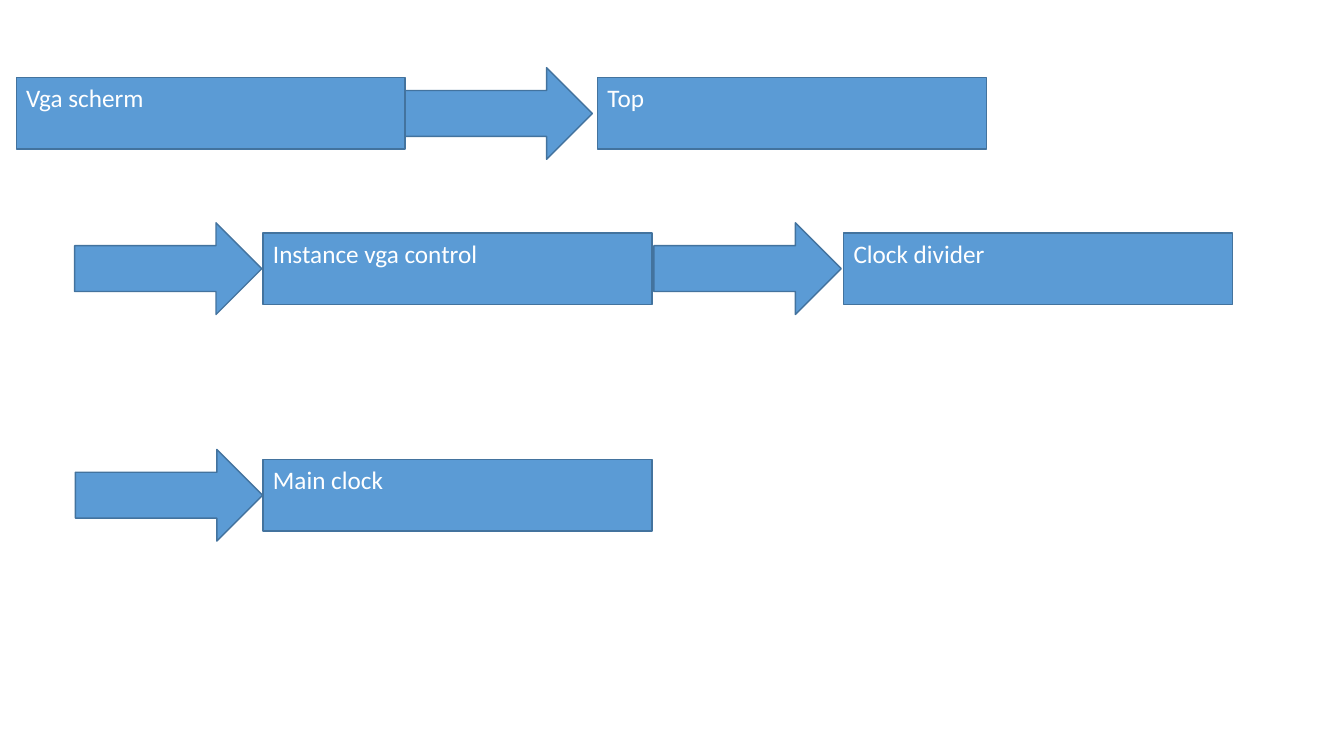
from pptx import Presentation
from pptx.dml.color import RGBColor
from pptx.enum.shapes import MSO_SHAPE
from pptx.enum.text import MSO_ANCHOR, PP_ALIGN
from pptx.util import Cm, Pt

BOX_WIDTH, BOX_HEIGHT = 9.8, 1.8
ARROW_WIDTH, ARROW_HEIGHT = 4.72, 2.31


def color(value):
    return RGBColor.from_string(value)


def add_block(page, kind, left, top, width, height):
    block = page.shapes.add_shape(kind, Cm(left), Cm(top), Cm(width), Cm(height))
    block.shadow.inherit = False
    block.fill.solid()
    block.fill.fore_color.rgb = color("5B9BD5")
    block.line.color.rgb = color("43739E")
    block.line.width = Pt(1)
    return block


def write_text(block, text, size=18, font="Calibri", ink="FFFFFF"):
    frame = block.text_frame
    frame.word_wrap = True
    frame.vertical_anchor = MSO_ANCHOR.TOP
    para = frame.paragraphs[0]
    para.alignment = PP_ALIGN.LEFT
    span = para.add_run()
    span.text = text
    span.font.size = Pt(size)
    span.font.name = font
    span.font.color.rgb = color(ink)


def add_row(page, top, boxes, arrows):
    for left, text in boxes:
        box = add_block(page, MSO_SHAPE.RECTANGLE, left, top, BOX_WIDTH, BOX_HEIGHT)
        write_text(box, text)
    arrow_top = top + (BOX_HEIGHT - ARROW_HEIGHT) / 2
    for left in arrows:
        add_block(page, MSO_SHAPE.RIGHT_ARROW, left, arrow_top, ARROW_WIDTH, ARROW_HEIGHT)


deck = Presentation()
deck.slide_width, deck.slide_height = Cm(33.87), Cm(19.05)
page = deck.slides.add_slide(deck.slide_layouts[6])
add_row(page, 1.96, [(0.41, "Vga scherm"), (15.06, "Top")], [10.21])
add_row(page, 5.87, [(6.63, "Instance vga control"), (21.26, "Clock divider")], [1.88, 16.48])
add_row(page, 11.58, [(6.63, "Main clock")], [1.9])
deck.save("out.pptx")
